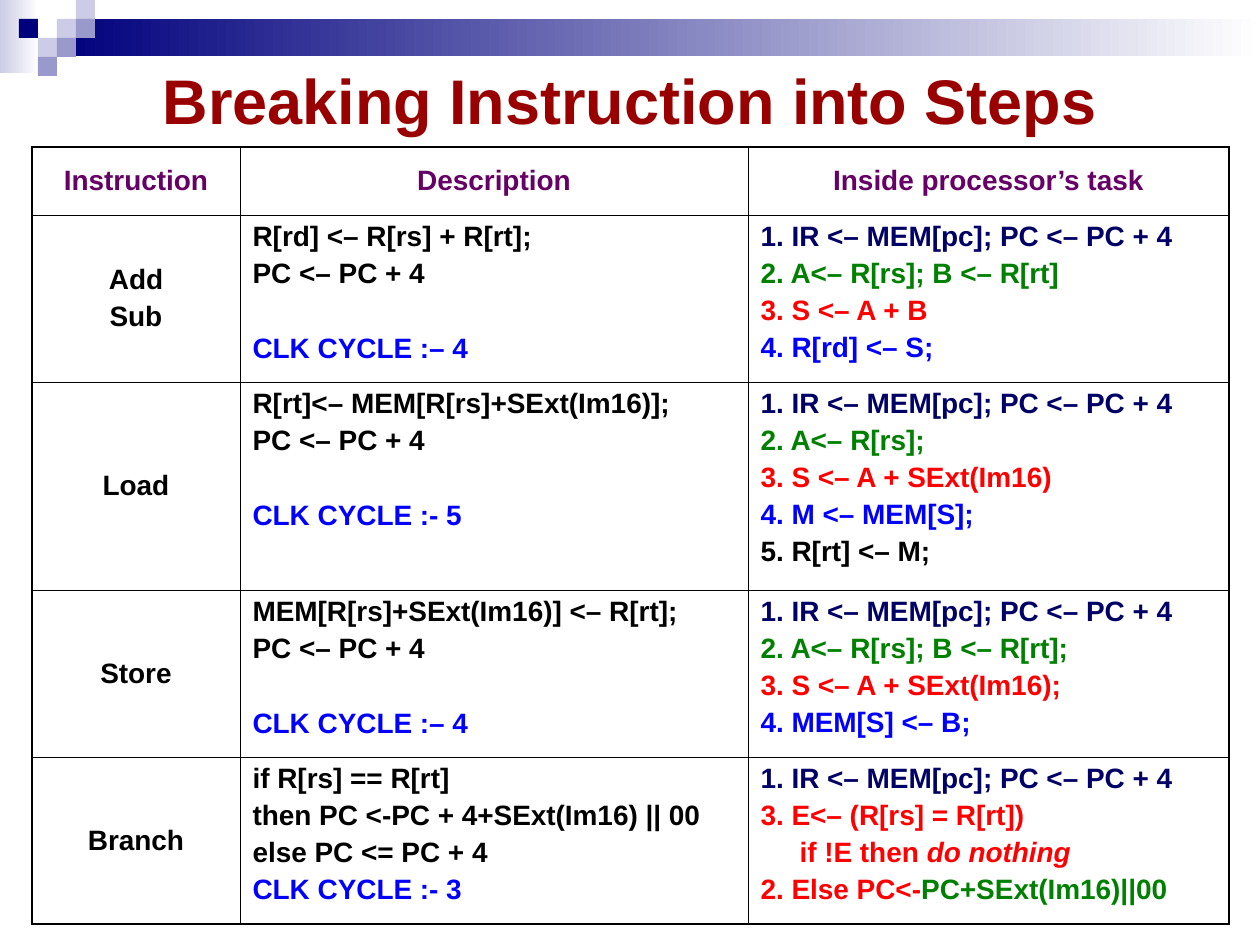
import pptx
import pptx.util
import pptx.dml.color
import pptx.enum.shapes
import pptx.enum.text
import pptx.oxml

COLOURS = {
    "navy": "00007D", "lavender": "CCCCE6", "periwinkle": "9999CC", "white": "FFFFFF",
    "title": "990000", "heading": "660066", "black": "000000", "cycles": "0000FF",
    "fetch": "000066", "read": "008000", "execute": "FF0000", "store": "0000FF",
}
ALIGN = pptx.enum.text.PP_ALIGN
ANCHOR = pptx.enum.text.MSO_ANCHOR
LINE_GAP, SKIPPED_LINE_GAP = 3.4, 25.2  # points before a paragraph
THICK, THIN = 1.08, 0.45


def px(length):
    return pptx.util.Emu(round(length * 914400 / 126))


def rgb(name):
    return pptx.dml.color.RGBColor.from_string(COLOURS[name])


class Deck:
    font = "Arial"

    def __init__(self, width, height):
        self.presentation = pptx.Presentation()
        self.presentation.slide_width = px(width)
        self.presentation.slide_height = px(height)
        self.slide = self.presentation.slides.add_slide(self.presentation.slide_layouts[6])

    def block(self, left, top, width, height, colour, fade_to=None):
        rect = self.slide.shapes.add_shape(
            pptx.enum.shapes.MSO_SHAPE.RECTANGLE, px(left), px(top), px(width), px(height))
        rect.shadow.inherit = False
        rect.line.fill.background()
        if fade_to:
            rect.fill.gradient()
            rect.fill.gradient_angle = 0
            for stop, name in zip(rect.fill.gradient_stops, (colour, fade_to)):
                stop.color.rgb = rgb(name)
        else:
            rect.fill.solid()
            rect.fill.fore_color.rgb = rgb(colour)

    def run(self, paragraph, text, colour, size, italic=False):
        run = paragraph.add_run()
        run.text = text
        run.font.name = self.font
        run.font.size = pptx.util.Pt(size)
        run.font.bold = True
        run.font.italic = italic
        run.font.color.rgb = rgb(colour)

    def title(self, left, top, width, height, text):
        frame = self.slide.shapes.add_textbox(px(left), px(top), px(width), px(height)).text_frame
        frame.word_wrap = True
        frame.vertical_anchor = ANCHOR.MIDDLE
        frame.paragraphs[0].alignment = ALIGN.CENTER
        self.run(frame.paragraphs[0], text, "title", 36)

    def borders(self, cell, **widths):
        properties = cell._tc.get_or_add_tcPr()
        for index, side in enumerate("LRTB"):
            properties.insert(index, pptx.oxml.parse_xml(
                f'<a:ln{side} xmlns:a="http://schemas.openxmlformats.org/drawingml/2006/main" '
                f'w="{pptx.util.Pt(widths[side])}"><a:solidFill><a:srgbClr val="{COLOURS["black"]}"/>'
                f'</a:solidFill></a:ln{side}>'))

    def cell(self, cell, lines, centred):
        """Each line is a list of (text, colour[, italic]) runs, led by its options."""
        cell.fill.background()
        cell.vertical_anchor = ANCHOR.MIDDLE if centred else ANCHOR.TOP
        for number, (options, runs) in enumerate(lines):
            frame = cell.text_frame
            paragraph = frame.add_paragraph() if number else frame.paragraphs[0]
            paragraph.alignment = ALIGN.CENTER if centred else ALIGN.LEFT
            if number:
                paragraph.space_before = pptx.util.Pt(options.get("gap", LINE_GAP))
            if "indent" in options:
                paragraph._p.get_or_add_pPr().set("marL", str(px(options["indent"])))
            for text, colour, *italic in runs:
                self.run(paragraph, text, colour, 16, bool(italic))

    def table(self, left, top, widths, heights, rows):
        table = self.slide.shapes.add_table(
            len(heights), len(widths), px(left), px(top), px(sum(widths)), px(sum(heights))).table
        table.first_row = table.horz_banding = False
        for column, width in zip(table.columns, widths):
            column.width = px(width)
        last_row, last_column = len(heights) - 1, len(widths) - 1
        for r, (row, height) in enumerate(zip(rows, heights)):
            table.rows[r].height = px(height)
            for c, lines in enumerate(row):
                self.cell(table.cell(r, c), lines, centred=r == 0 or c == 0)
                self.borders(table.cell(r, c),
                             L=THIN if c else THICK, R=THICK if c == last_column else THIN,
                             T=THIN if r else THICK, B=THICK if r == last_row else THIN)


def line(text, colour="black", **options):
    return options, [(text, colour)]


def cycles(text, gap=SKIPPED_LINE_GAP):
    return line(f"CLK CYCLE {text}", "cycles", gap=gap)


def steps(*texts):
    """Numbered steps after the common fetch, coloured by stage."""
    return [FETCH] + [line(f"{number}. {text}", stage) for number, (text, stage)
                      in enumerate(zip(texts, ("read", "execute", "store", "black")), 2)]


FETCH = line("1. IR <– MEM[pc]; PC <– PC + 4", "fetch")
NEXT_PC = line("PC <– PC + 4")

INSTRUCTIONS = [
    [[line(heading, "heading")] for heading in
     ("Instruction", "Description", "Inside processor’s task")],
    [[line("Add"), line("Sub")],
     [line("R[rd] <– R[rs] + R[rt];"), NEXT_PC, cycles(":– 4")],
     steps("A<– R[rs]; B <– R[rt]", "S <– A + B", "R[rd] <– S;")],
    [[line("Load")],
     [line("R[rt]<– MEM[R[rs]+SExt(Im16)];"), NEXT_PC, cycles(":- 5")],
     steps("A<– R[rs];", "S <– A + SExt(Im16)", "M <– MEM[S];", "R[rt] <– M;")],
    [[line("Store")],
     [line("MEM[R[rs]+SExt(Im16)] <– R[rt];"), NEXT_PC, cycles(":– 4")],
     steps("A<– R[rs]; B <– R[rt];", "S <– A + SExt(Im16);", "MEM[S] <– B;")],
    [[line("Branch")],
     [line("if R[rs] == R[rt]"), line("then PC <-PC + 4+SExt(Im16) || 00"),
      line("else PC <= PC + 4"), cycles(":- 3", LINE_GAP)],
     [FETCH, line("3. E<– (R[rs] = R[rt])", "execute"),
      ({"indent": 39}, [("if !E then ", "execute"), ("do nothing", "execute", True)]),
      ({}, [("2. Else PC<-", "execute"), ("PC+SExt(Im16)||00", "read")])]],
]


def main():
    deck = Deck(1260, 945)

    # Header band and its mosaic of squares
    deck.block(0, 0, 39, 73, "lavender", fade_to="white")
    deck.block(57, 19, 1203, 37, "navy", fade_to="white")
    square = 19
    for column, row, colour in [
            (3, 1, "lavender"), (4, 0, "lavender"), (4, 1, "periwinkle"), (2, 2, "lavender"),
            (1, 1, "navy"), (3, 2, "periwinkle"), (2, 3, "periwinkle")]:
        deck.block(column * square, row * square, square, square, colour)

    # Title
    deck.title(63, 28, 1134, 142, "Breaking Instruction into Steps")

    # Instruction table
    deck.table(32, 147, [208, 508, 481], [68, 167, 208, 167, 167], INSTRUCTIONS)

    deck.presentation.save("out.pptx")


if __name__ == "__main__":
    main()
